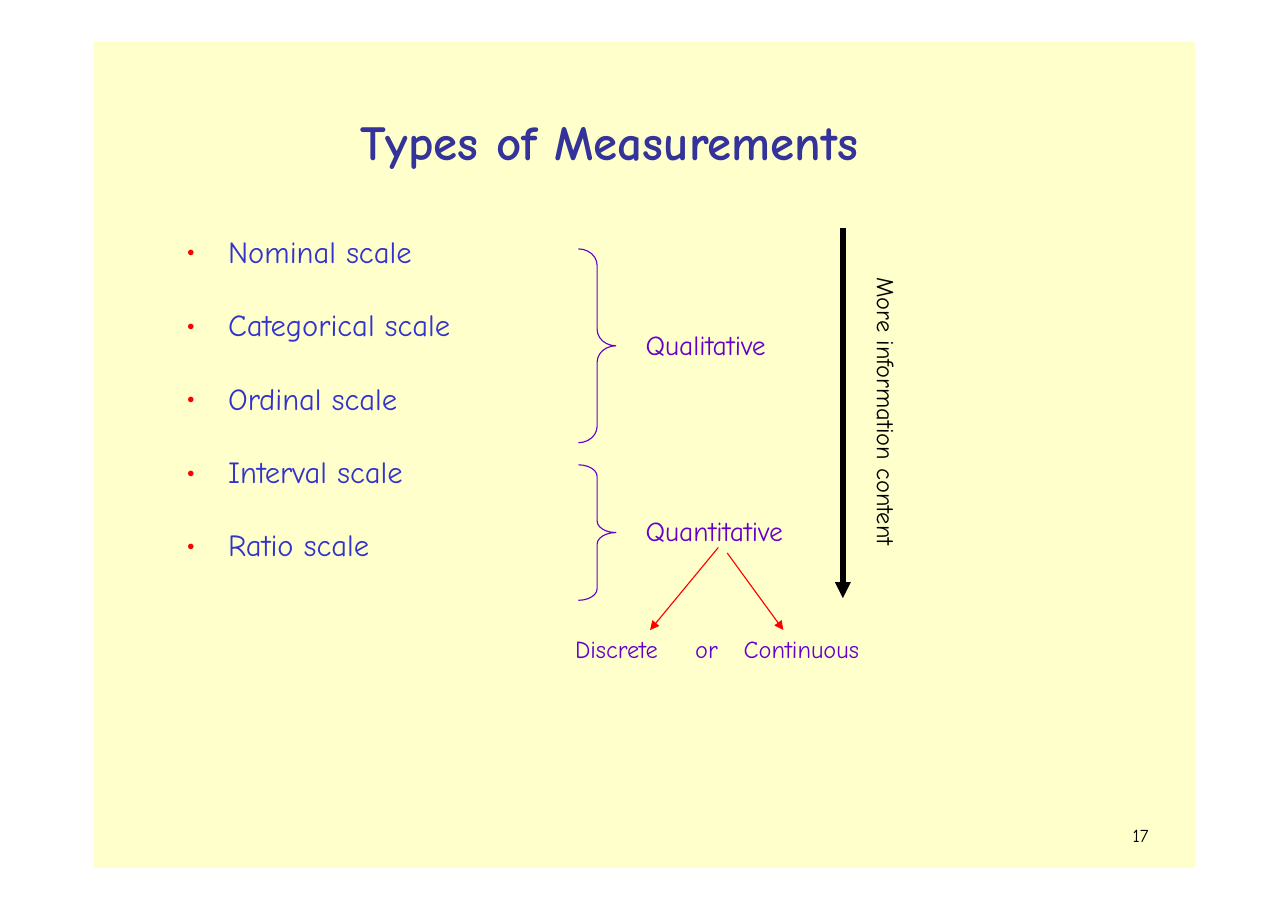
from pptx import Presentation
from pptx.dml.color import RGBColor
from pptx.enum.shapes import MSO_CONNECTOR, MSO_SHAPE
from pptx.enum.text import MSO_ANCHOR, MSO_AUTO_SIZE, PP_ALIGN
from pptx.oxml.ns import qn
from pptx.util import Inches, Pt
from lxml.etree import SubElement

FONT = "Comic Neue"
VIOLET = "6500CC"
RED = "FF0000"
SCALES = ["Nominal scale", "Categorical scale", "Ordinal scale",
          "Interval scale", "Ratio scale"]
LABELS = [
    ("Qualitative", (5.86, 2.96, 1.33, 0.33), 18, VIOLET),
    ("Quantitative", (5.86, 4.65, 1.51, 0.33), 18, VIOLET),
    ("Discrete", (5.22, 5.74, 0.93, 0.3), 16, VIOLET),
    ("or\tContinuous", (6.31, 5.74, 1.56, 0.3), 16, VIOLET),
    ("17", (10.28, 7.46, 0.3, 0.26), 12, "000000"),
]


def color(code):
    return RGBColor.from_string(code)


def place(shape, box):
    for name, value in zip(("left", "top", "width", "height"), box):
        setattr(shape, name, Inches(value))


def format_text(shape, lines, size, code, bold=False, gap=0):
    frame = shape.text_frame
    frame.text = "\n".join(lines)
    layout = {"margin_left": 0, "margin_right": 0, "margin_top": Inches(0.02),
              "margin_bottom": 0, "word_wrap": True,
              "auto_size": MSO_AUTO_SIZE.NONE,
              "vertical_anchor": MSO_ANCHOR.TOP}
    for name, value in layout.items():
        setattr(frame, name, value)
    style = {"name": FONT, "size": Pt(size), "bold": bold}
    for row, para in enumerate(frame.paragraphs):
        para.alignment = PP_ALIGN.LEFT
        para.space_before = Pt(gap if row else 0)
        for run in para.runs:
            for name, value in style.items():
                setattr(run.font, name, value)
            run.font.color.rgb = color(code)


def add_label(slide, text, box, size, code):
    label = slide.shapes.add_textbox(*map(Inches, box))
    format_text(label, [text], size, code)
    return label


def add_tab(label, stop):
    props = label.text_frame.paragraphs[0]._p.get_or_add_pPr()
    tabs = SubElement(props, qn("a:tabLst"))
    SubElement(tabs, qn("a:tab"), pos=str(Inches(stop)), algn="l")


def add_bullets(shape, code):
    for para in shape.text_frame.paragraphs:
        props = para._p.get_or_add_pPr()
        props.set("marL", str(Inches(0.39)))
        props.set("indent", str(Inches(-0.38)))
        tint = SubElement(props, qn("a:buClr"))
        SubElement(tint, qn("a:srgbClr"), val=code)
        SubElement(props, qn("a:buFont"), typeface=FONT)
        SubElement(props, qn("a:buChar"), char="•")


def add_panel(slide):
    panel = slide.shapes.add_shape(
        MSO_SHAPE.RECTANGLE, *map(Inches, (0.85, 0.38, 10, 7.5)))
    panel.shadow.inherit = False
    panel.fill.solid()
    panel.fill.fore_color.rgb = color("FFFFCC")
    panel.line.fill.background()
    panel.element.getparent().insert(2, panel.element)


def add_brace(slide, top, height, curl):
    brace = slide.shapes.add_shape(
        MSO_SHAPE.RIGHT_BRACE, *map(Inches, (5.25, top, 0.34, height)))
    brace.shadow.inherit = False
    brace.fill.background()
    brace.line.color.rgb = color("6600CC")
    brace.line.width = Pt(0.75)
    brace.adjustments[0] = curl


def add_arrow(slide, ends, width, code):
    arrow = slide.shapes.add_connector(
        MSO_CONNECTOR.STRAIGHT, *map(Inches, ends))
    arrow.line.color.rgb = color(code)
    arrow.line.width = Pt(width)
    SubElement(arrow.line._get_or_add_ln(), qn("a:tailEnd"), type="triangle")
    SubElement(arrow.element.spPr, qn("a:effectLst"))


def main():
    deck = Presentation()
    deck.slide_width, deck.slide_height = Inches(11.69), Inches(8.27)
    slide = deck.slides.add_slide(deck.slide_layouts[1])
    add_panel(slide)

    title, body = slide.placeholders
    place(title, (3.27, 0.99, 5.18, 0.56))
    format_text(title, ["Types of Measurements"], 32, "33339A", bold=True)
    place(body, (1.68, 2.09, 2.8, 3.03))
    format_text(body, SCALES, 20, "3333CC", gap=24)
    add_bullets(body, RED)

    add_brace(slide, 2.26, 1.76, 0.44)
    add_brace(slide, 4.22, 1.23, 0.31)

    for text, box, size, code in LABELS:
        label = add_label(slide, text, box, size, code)
        if "\t" in text:
            add_tab(label, 0.44)
    side = add_label(slide, "More information content",
                     (7.84, 2.5, 0.34, 2.7), 16, "000000")
    side.text_frame._txBody.bodyPr.set("vert", "vert")

    add_arrow(slide, (7.65, 2.07, 7.65, 5.43), 3.5, "000000")
    add_arrow(slide, (6.52, 4.97, 5.9, 5.72), 0.75, RED)
    add_arrow(slide, (6.6, 5.02, 7.11, 5.72), 0.75, RED)
    deck.save("out.pptx")


if __name__ == "__main__":
    main()
